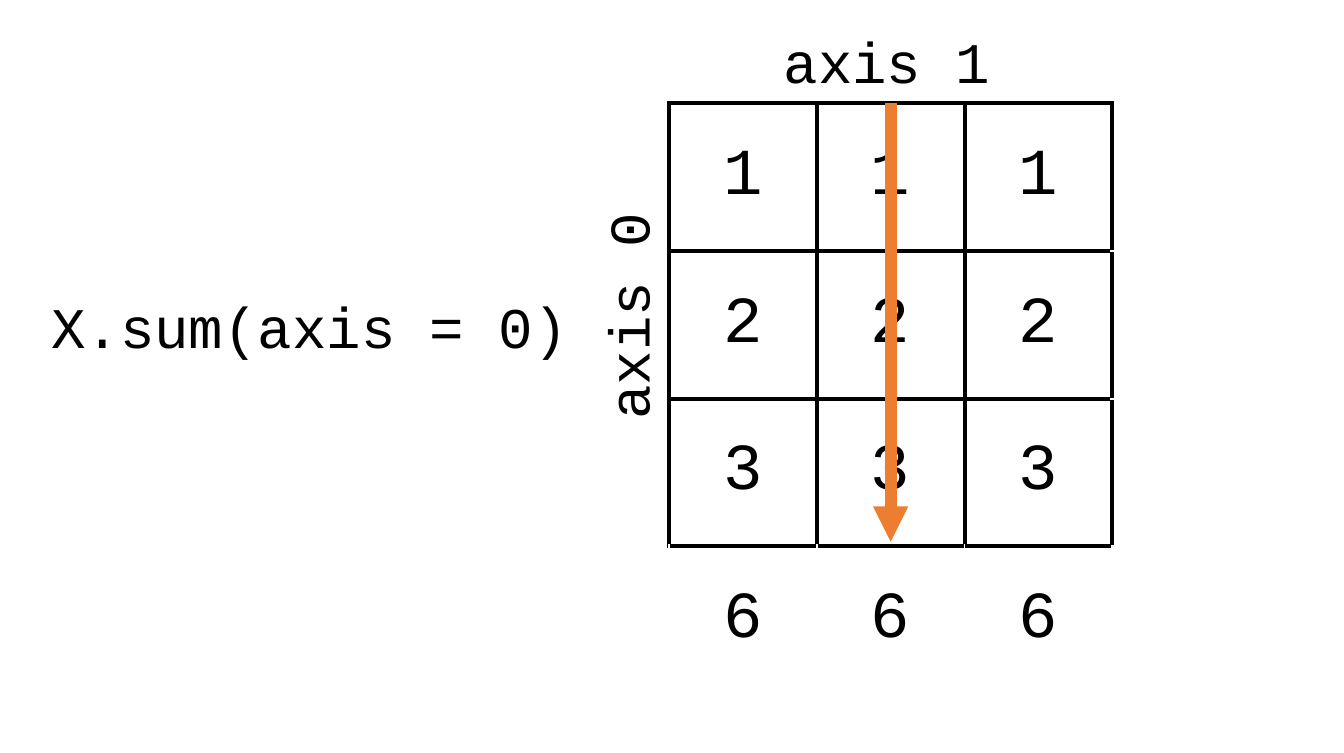
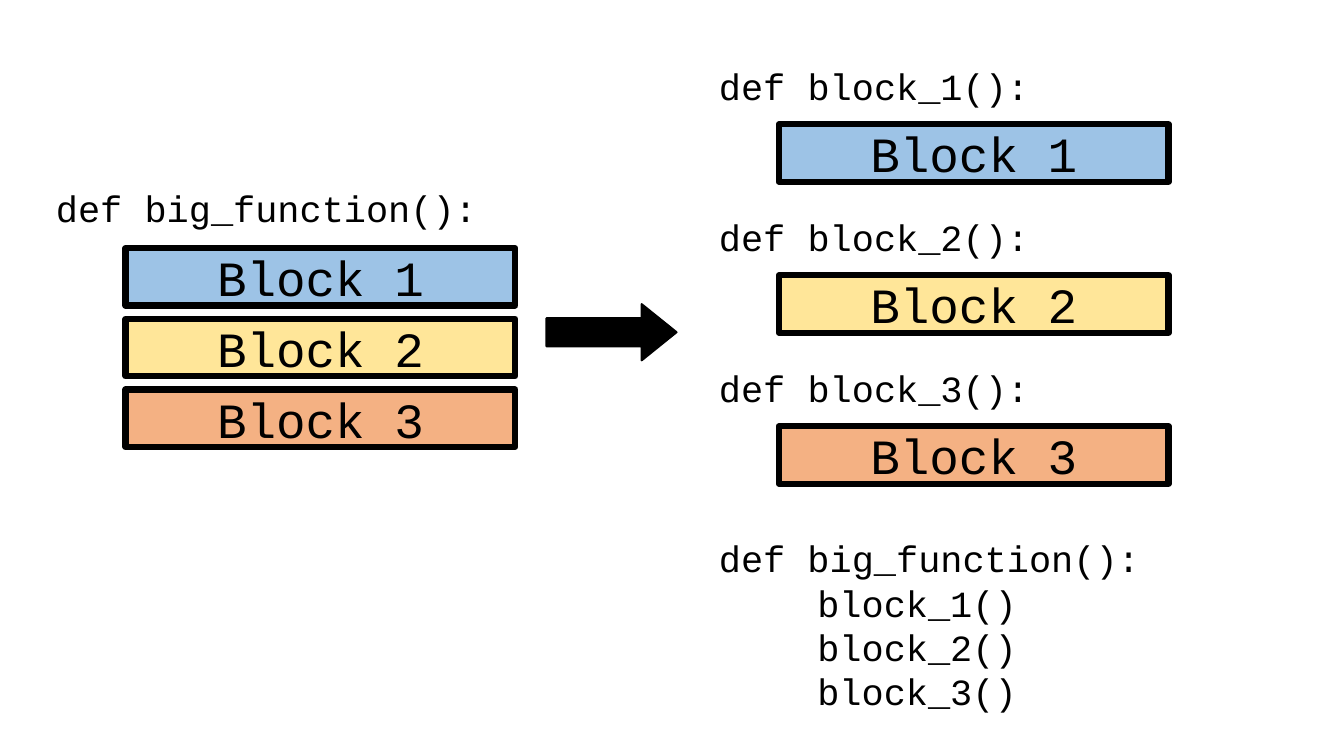
"""Build two slides on array axes and on splitting a big function into blocks."""
import pptx
import pptx.dml.color
import pptx.enum.shapes
import pptx.enum.text
import pptx.oxml
import pptx.oxml.ns
import pptx.util

Pt = pptx.util.Pt
RGBColor = pptx.dml.color.RGBColor
SHAPE = pptx.enum.shapes.MSO_SHAPE
ANCHOR = pptx.enum.text.MSO_ANCHOR
ALIGN = pptx.enum.text.PP_ALIGN
qn = pptx.oxml.ns.qn

BLACK = RGBColor(0x00, 0x00, 0x00)
ORANGE = RGBColor(0xED, 0x7D, 0x31)
BLUE = RGBColor(0x9D, 0xC3, 0xE6)
YELLOW = RGBColor(0xFF, 0xE6, 0x99)
PEACH = RGBColor(0xF4, 0xB1, 0x83)
BLOCK_FILLS = (BLUE, YELLOW, PEACH)

CODE_FONT = "Courier New"
NAMESPACE = pptx.oxml.ns.nsdecls("a")
CELL = 72
GRID_LEFT, GRID_TOP = 326.2, 50.4
MATRIX_SIZE = 3
BLOCK_WIDTH, BLOCK_HEIGHT = 190, 28
CODE_INDENT = 48


def style_code(paragraph, size, align=ALIGN.LEFT):
    """Set a paragraph in the black code font."""
    paragraph.alignment = align
    paragraph.font.name = CODE_FONT
    paragraph.font.size = Pt(size)
    paragraph.font.color.rgb = BLACK


def add_code(slide, lines, left, top, width, height, size, rotation=0):
    """Add lines of code; a leading tab indents a line."""
    box = slide.shapes.add_textbox(Pt(left), Pt(top), Pt(width), Pt(height))
    box.rotation = rotation
    frame = box.text_frame
    frame.word_wrap = False
    frame.text = "\n".join(lines)
    for paragraph in frame.paragraphs:
        if paragraph.text.startswith("\t"):
            paragraph._p.get_or_add_pPr().append(pptx.oxml.parse_xml(
                f'<a:tabLst {NAMESPACE}><a:tab pos="{Pt(CODE_INDENT)}" algn="l"/></a:tabLst>'))
        style_code(paragraph, size)


def add_figure(slide, kind, left, top, width, height, fill, line_width):
    """Add a filled preset shape with a black outline."""
    figure = slide.shapes.add_shape(kind, Pt(left), Pt(top), Pt(width), Pt(height))
    figure.shadow.inherit = False
    figure.fill.solid()
    figure.fill.fore_color.rgb = fill
    figure.line.color.rgb = BLACK
    figure.line.width = Pt(line_width)
    return figure


def add_block(slide, number, left, top):
    """Add a numbered code block in its own colour."""
    block = add_figure(slide, SHAPE.RECTANGLE, left, top, BLOCK_WIDTH, BLOCK_HEIGHT,
                       BLOCK_FILLS[number - 1], 3)
    block.text_frame.vertical_anchor = ANCHOR.MIDDLE
    block.text_frame.text = f"Block {number}"
    style_code(block.text_frame.paragraphs[0], 24, ALIGN.CENTER)


def add_borders(cell, sides):
    """Draw black lines on the given sides of a cell, in the order L, R, T, B."""
    properties = cell._tc.get_or_add_tcPr()
    for position, side in enumerate(sides):
        properties.insert(position, pptx.oxml.parse_xml(
            f'<a:ln{side} {NAMESPACE} w="{Pt(2.25)}"><a:solidFill>'
            f'<a:srgbClr val="{BLACK}"/></a:solidFill></a:ln{side}>'))


def add_matrix(slide, rows):
    """Add the bordered matrix with its column sums below."""
    count = len(rows)
    side = Pt(CELL * count)
    table = slide.shapes.add_table(count, count, Pt(GRID_LEFT), Pt(GRID_TOP), side, side).table
    table.first_row = False
    table.horz_banding = False
    for row, values in enumerate(rows):
        for column, value in enumerate(values):
            cell = table.cell(row, column)
            cell.fill.background()
            cell.vertical_anchor = ANCHOR.MIDDLE
            cell.text = value
            style_code(cell.text_frame.paragraphs[0], 32, ALIGN.CENTER)
            if row < MATRIX_SIZE:
                add_borders(cell, "LRTB" if column < MATRIX_SIZE else "L")
            elif column < MATRIX_SIZE:
                add_borders(cell, "T")


def add_arrow(slide, x, top, bottom):
    """Add a thick orange arrow pointing down."""
    arrow = slide.shapes.add_connector(
        pptx.enum.shapes.MSO_CONNECTOR.STRAIGHT, Pt(x), Pt(top), Pt(x), Pt(bottom))
    arrow.line.color.rgb = ORANGE
    arrow.line.width = Pt(5.75)
    properties = arrow._element.spPr
    properties.find(qn("a:ln")).append(
        pptx.oxml.parse_xml(f'<a:tailEnd {NAMESPACE} type="triangle"/>'))
    properties.append(pptx.oxml.parse_xml(f"<a:effectLst {NAMESPACE}/>"))


def build_axis_slide(slide):
    """Show summing a matrix down axis 0."""
    add_matrix(slide, [[value] * MATRIX_SIZE + [""] for value in "1236"])
    add_code(slide, ["axis 0"], 247.7, 133.2, 116, 41, 28, rotation=270)
    add_code(slide, ["axis 1"], 375, 9.4, 116, 41, 28)
    add_code(slide, ["X.sum(axis = 0)"], 18, 138.2, 268.6, 41, 28)
    add_arrow(slide, GRID_LEFT + 1.5 * CELL, GRID_TOP, 264.2)


def build_function_slide(slide):
    """Show one big function split into three smaller ones."""
    big_function = "def big_function():"
    add_code(slide, [big_function], 20.2, 87.1, 221, 29, 18)
    for index in range(len(BLOCK_FILLS)):
        number = index + 1
        add_block(slide, number, 61.2, 121 + 34.5 * index)
        definition_top = 27.4 + 73.6 * index
        add_code(slide, [f"def block_{number}():"], 343.4, definition_top, 166.3, 29, 18)
        add_block(slide, number, 379.7, definition_top + 33.3)
    calls = [f"\tblock_{index + 1}()" for index in range(len(BLOCK_FILLS))]
    add_code(slide, [big_function] + calls, 343.4, 257.8, 221, 94.3, 18)
    arrow = add_figure(slide, SHAPE.RIGHT_ARROW, 266.4, 148.3, 63.4, 27.4, BLACK, 1)
    arrow.adjustments[1] = 0.62


def main():
    """Build and save the presentation."""
    deck = pptx.Presentation()
    deck.slide_width = Pt(655.2)
    deck.slide_height = Pt(367.2)
    blank = deck.slide_layouts[6]
    for build in (build_axis_slide, build_function_slide):
        build(deck.slides.add_slide(blank))
    deck.save("out.pptx")


if __name__ == "__main__":
    main()
